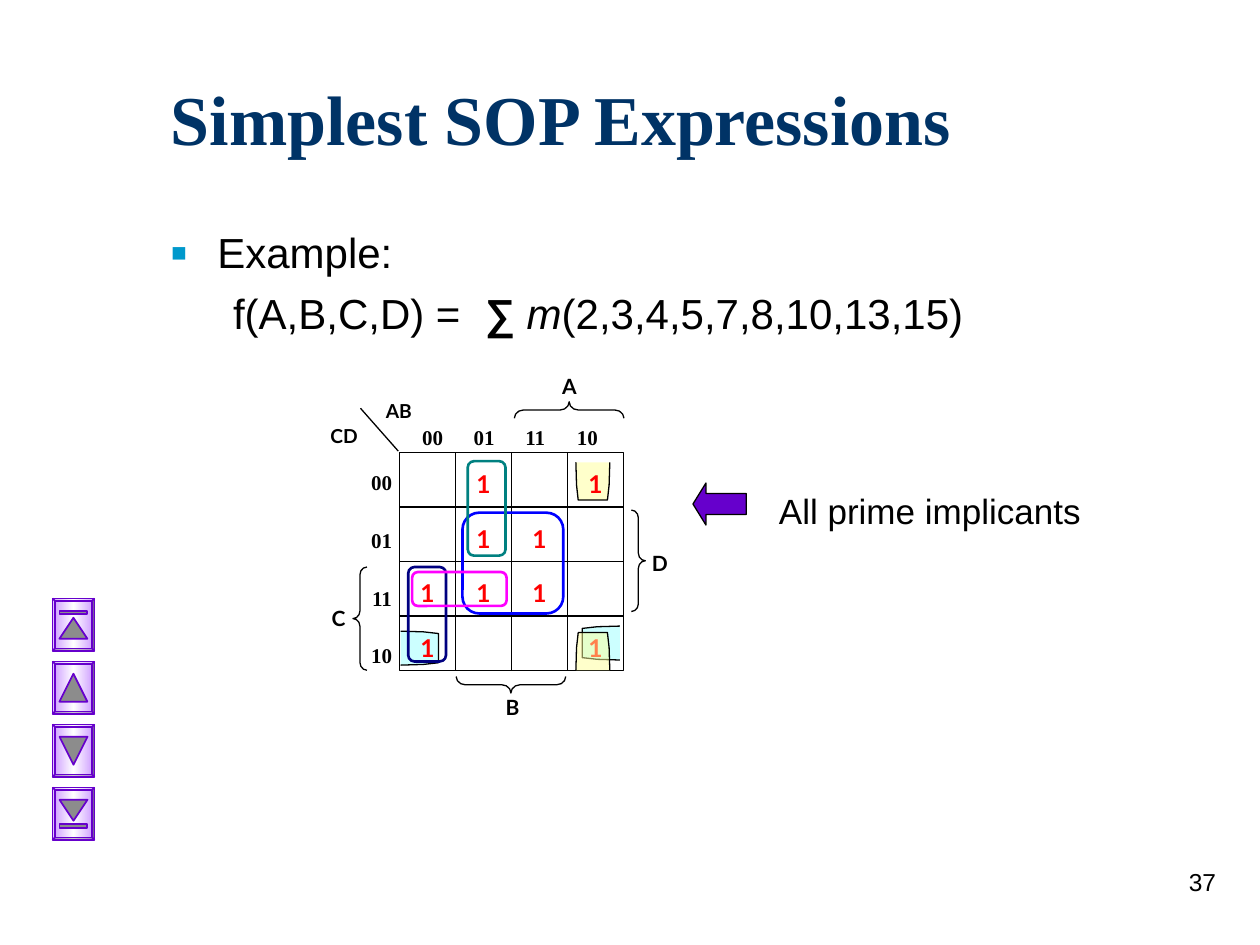
from copy import deepcopy

from lxml.etree import SubElement
from pptx import Presentation
from pptx.dml.color import RGBColor
from pptx.enum.shapes import MSO_CONNECTOR as Connector, MSO_SHAPE as Shape
from pptx.enum.text import MSO_ANCHOR as Anchor, MSO_AUTO_SIZE as AutoSize, PP_ALIGN as Align
from pptx.oxml.ns import qn
from pptx.util import Pt

BLACK = RGBColor(0, 0, 0)
WHITE = RGBColor(255, 255, 255)
RED = RGBColor(255, 0, 0)
TITLE_BLUE = RGBColor(0, 0x33, 0x66)
BULLET_BLUE = RGBColor(0, 0x99, 0xCC)
PURPLE = RGBColor(0x66, 0, 0xCC)
LILAC = RGBColor(0xCC, 0x99, 0xFF)
ICON_GREY = RGBColor(0x8C, 0x8C, 0x8C)
YELLOW = RGBColor(255, 255, 0x99)
CYAN = RGBColor(0xCC, 255, 255)
BLUE = RGBColor(0, 0, 255)
NAVY = RGBColor(0, 0, 0x80)
TEAL = RGBColor(0, 0x80, 0x80)
MAGENTA = RGBColor(255, 0, 255)

CELL_W, CELL_H = 32, 31.15
ONES = [(0, 1), (0, 3), (1, 1), (1, 2), (2, 0), (2, 1), (2, 2), (3, 0), (3, 3)]
CUP_PROFILE = [(0, 0), (0.6, 0.02), (1, 0.07), (1, 0.93), (0.6, 0.98), (0, 1)]


def format_runs(paragraph, size, font, color=BLACK, bold=False):
    """Give every run of a paragraph the same look."""
    for run in paragraph.runs:
        run.font.size, run.font.name, run.font.bold = Pt(size), font, bold
        run.font.color.rgb = color


def set_tabs(paragraph, stops):
    """Set left tab stops, measured in points."""
    tab_list = SubElement(paragraph._p.get_or_add_pPr(), qn("a:tabLst"))
    for stop in stops:
        SubElement(tab_list, qn("a:tab"), pos=str(Pt(stop)), algn="l")


def add_label(slide, box, text, size, font="Lato", color=BLACK, bold=True, align=Align.CENTER):
    """Add a wrapped text box and return its frame."""
    frame = slide.shapes.add_textbox(*map(Pt, box)).text_frame
    frame.word_wrap = True
    frame.text = text
    for paragraph in frame.paragraphs:
        paragraph.alignment = align
        format_runs(paragraph, size, font, color, bold)
    return frame


def add_figure(slide, kind, box, line, width=0.75, fill=None):
    """Add a preset shape, hollow unless a fill is given."""
    shape = slide.shapes.add_shape(kind, *map(Pt, box))
    style(shape, line, width, fill)
    return shape


def style(shape, line, width=0.75, fill=None):
    """Set outline and fill and drop the shadow."""
    shape.shadow.inherit = False
    shape.line.color.rgb, shape.line.width = line, Pt(width)
    if fill is None:
        shape.fill.background()
    else:
        shape.fill.solid()
        shape.fill.fore_color.rgb = fill


def add_line(slide, x1, y1, x2, y2):
    """Add a thin black line."""
    line = slide.shapes.add_connector(Connector.STRAIGHT, *map(Pt, (x1, y1, x2, y2)))
    line.line.color.rgb, line.line.width = BLACK, Pt(0.75)
    SubElement(line._element.spPr, qn("a:effectLst"))


def add_cup(slide, x, y, depth, across, fill, opacity=100):
    """Add an open half loop that wraps round the map edge."""
    points = [(Pt(x + d * depth[0] + a * across[0]), Pt(y + d * depth[1] + a * across[1]))
              for d, a in CUP_PROFILE]
    builder = slide.shapes.build_freeform(*points[0], scale=1.0)
    builder.add_line_segments(points[1:], close=False)
    cup = builder.convert_to_shape()
    style(cup, BLACK, fill=fill)
    if opacity < 100:
        color = cup._element.spPr.find(qn("a:solidFill"))[0]
        SubElement(color, qn("a:alpha"), val=str(opacity * 1000))


def add_heading(slide, box):
    """Place the title."""
    title = slide.shapes.title
    title.left, title.top, title.width, title.height = map(Pt, box)
    frame = title.text_frame
    frame.text = "Simplest SOP Expressions"
    frame.auto_size, frame.vertical_anchor = AutoSize.NONE, Anchor.MIDDLE
    frame.paragraphs[0].alignment = Align.LEFT
    format_runs(frame.paragraphs[0], 40, "Times New Roman", TITLE_BLUE, True)


def add_example(slide, box):
    """Place the bulleted example and its formula."""
    body = slide.placeholders[1]
    body.left, body.top, body.width, body.height = map(Pt, box)
    frame = body.text_frame
    frame.text = "Example:"
    frame.auto_size = AutoSize.NONE
    bullet, formula = frame.paragraphs[0], frame.add_paragraph()
    for text in ("\tf(A,B,C,D) =\t", "∑ ", "m", "(2,3,4,5,7,8,10,13,15)"):
        formula.add_run().text = text
    for paragraph, margin, indent in ((bullet, 27, -27), (formula, 0, 0)):
        paragraph.space_before = Pt(6)
        format_runs(paragraph, 24, "Arial")
        properties = paragraph._p.get_or_add_pPr()
        properties.set("marL", str(Pt(margin)))
        properties.set("indent", str(Pt(indent)))
    formula.runs[1].font.bold = True
    formula.runs[2].font.italic = True
    properties = bullet._p.get_or_add_pPr()
    SubElement(SubElement(properties, qn("a:buClr")), qn("a:srgbClr"), val=str(BULLET_BLUE))
    SubElement(properties, qn("a:buSzPct"), val="120000")
    SubElement(properties, qn("a:buFont"), typeface="Arial")
    SubElement(properties, qn("a:buChar"), char="▪")
    SubElement(formula._p.get_or_add_pPr(), qn("a:buNone"))
    set_tabs(formula, (99, 243))


def add_map_labels(slide, left, top):
    """Label the axes of the map with variables, braces and codes."""
    for text, x, y, w, h, size in (("A", 85, -48.3, 24, 19.5, 12), ("B", 52.6, 134.6, 24, 19, 12),
                                   ("C", -46.8, 84.2, 24, 25, 12), ("D", 136.8, 52.5, 24, 25, 12),
                                   ("CD", -54, -19.5, 44.6, 21, 11),
                                   ("AB", -18.7, -33.9, 36.7, 21, 11)):
        add_label(slide, (left + x, top + y, w, h), text, size)
    for kind, x, y, w, h, turn in ((Shape.LEFT_BRACE, 92.2, -55.5, 9.4, 62.6, 90),
                                   (Shape.LEFT_BRACE, 59, 101.5, 9.4, 62.6, 270),
                                   (Shape.LEFT_BRACE, -26.6, 65.5, 8, 59, 0),
                                   (Shape.RIGHT_BRACE, 132.5, 33, 8, 58, 0)):
        brace = add_figure(slide, kind, (left + x, top + y, w, h), BLACK)
        brace.adjustments[0], brace.rotation = 0.55, turn
    add_line(slide, left - 0.7, top - 0.7, left - 22.3, top - 25.2)
    rows = add_label(slide, (left - 25.2, top + 6.5, 28, 129), "00\n01\n11\n10", 12,
                     "Times New Roman", align=Align.RIGHT)
    for paragraph in rows.paragraphs:
        paragraph.space_after = Pt(18.5)
    columns = add_label(slide, (left + 5.8, top - 19.5, 119.5, 25), "00\t01\t11\t10", 12,
                        "Times New Roman", align=Align.LEFT)
    set_tabs(columns.paragraphs[0], (29.5, 59, 88.5))


def add_karnaugh_map(slide, left, top):
    """Draw the map with its ones and prime implicant loops."""
    width, height = 4 * CELL_W, 4 * CELL_H
    add_cup(slide, left + 100.8, top + 5.7, (0, 21.6), (19.4, 0), YELLOW, 50)
    add_cup(slide, left + 126, top + 99.3, (-21.6, 0), (0, 19.4), CYAN)
    add_cup(slide, left + 0.7, top + 102.2, (21.6, 0), (0, 19.4), CYAN)
    add_figure(slide, Shape.RECTANGLE, (left, top, width, height), BLACK)
    for step in (1, 2, 3):
        x, y = left + step * CELL_W, top + step * CELL_H
        add_line(slide, x, top, x, top + height)
        add_line(slide, left, y, left + width, y)
    add_map_labels(slide, left, top)
    for row, column in ONES:
        box = (left + column * CELL_W, top + 6 + row * CELL_H, CELL_W, 25)
        add_label(slide, box, "1", 14, color=RED)
    for color, x, y, w, h in ((BLUE, 36, 34.5, 57.6, 57.6), (NAVY, 5, 65.5, 21.6, 54),
                              (TEAL, 39, 5, 21.6, 54), (MAGENTA, 7.2, 68.4, 54, 19.4)):
        add_figure(slide, Shape.ROUNDED_RECTANGLE, (left + x, top + y, w, h), color, 1.5)
    add_cup(slide, left + 100.8, top + height, (0, -21.6), (19.4, 0), YELLOW, 50)


def add_button(slide, left, top, points_up, has_bar):
    """Draw a bevelled navigation button with a triangle and perhaps a bar."""
    button = add_figure(slide, Shape.BEVEL, (left, top, 24, 30), PURPLE, 1)
    button.adjustments[0] = 0.06
    button.fill.gradient()
    button.fill.gradient_angle = 0
    stop_list = button._element.spPr.find(qn("a:gradFill")).find(qn("a:gsLst"))
    stop_list.append(deepcopy(stop_list[-1]))
    for stop, place, color in zip(button.fill.gradient_stops, (0, 0.5, 1), (LILAC, WHITE, LILAC)):
        stop.position, stop.color.rgb = place, color
    height = 12 if has_bar else 16
    offset = (11 if points_up else 7) if has_bar else 7
    triangle = add_figure(slide, Shape.ISOSCELES_TRIANGLE, (left + 4, top + offset, 16, height),
                          PURPLE, 1, ICON_GREY)
    triangle.rotation = 0 if points_up else 180
    if has_bar:
        bar_top = top + (7 if points_up else 21)
        add_figure(slide, Shape.RECTANGLE, (left + 4, bar_top, 16, 2), PURPLE, 1, ICON_GREY)


def add_callout(slide, left, top):
    """Place the arrow and the remark beside the map."""
    arrow = add_figure(slide, Shape.LEFT_ARROW, (left, top, 30.5, 24), BLACK, fill=PURPLE)
    arrow.adjustments[1] = 0.31
    remark = add_label(slide, (left + 42, top, 198, 32), "All prime implicants", 20, "Arial",
                       bold=False, align=Align.LEFT)
    remark.paragraphs[0].space_before = Pt(12.5)


def main():
    """Build and save the slide."""
    presentation = Presentation()
    presentation.slide_width, presentation.slide_height = Pt(720), Pt(540)
    slide = presentation.slides.add_slide(presentation.slide_layouts[1])
    add_heading(slide, (90.5, 36, 612, 62.5))
    add_example(slide, (90, 126, 612, 78))
    add_callout(slide, 396, 276)
    add_karnaugh_map(slide, 228.3, 258.5)
    for index, (points_up, has_bar) in enumerate(((True, True), (True, False),
                                                 (False, False), (False, True))):
        add_button(slide, 30, 342 + 36 * index, points_up, has_bar)
    number = add_label(slide, (552, 492, 150, 36), "37", 14, "Arial", bold=False, align=Align.RIGHT)
    number.paragraphs[0].space_before = Pt(8.8)
    presentation.save("out.pptx")


if __name__ == "__main__":
    main()
